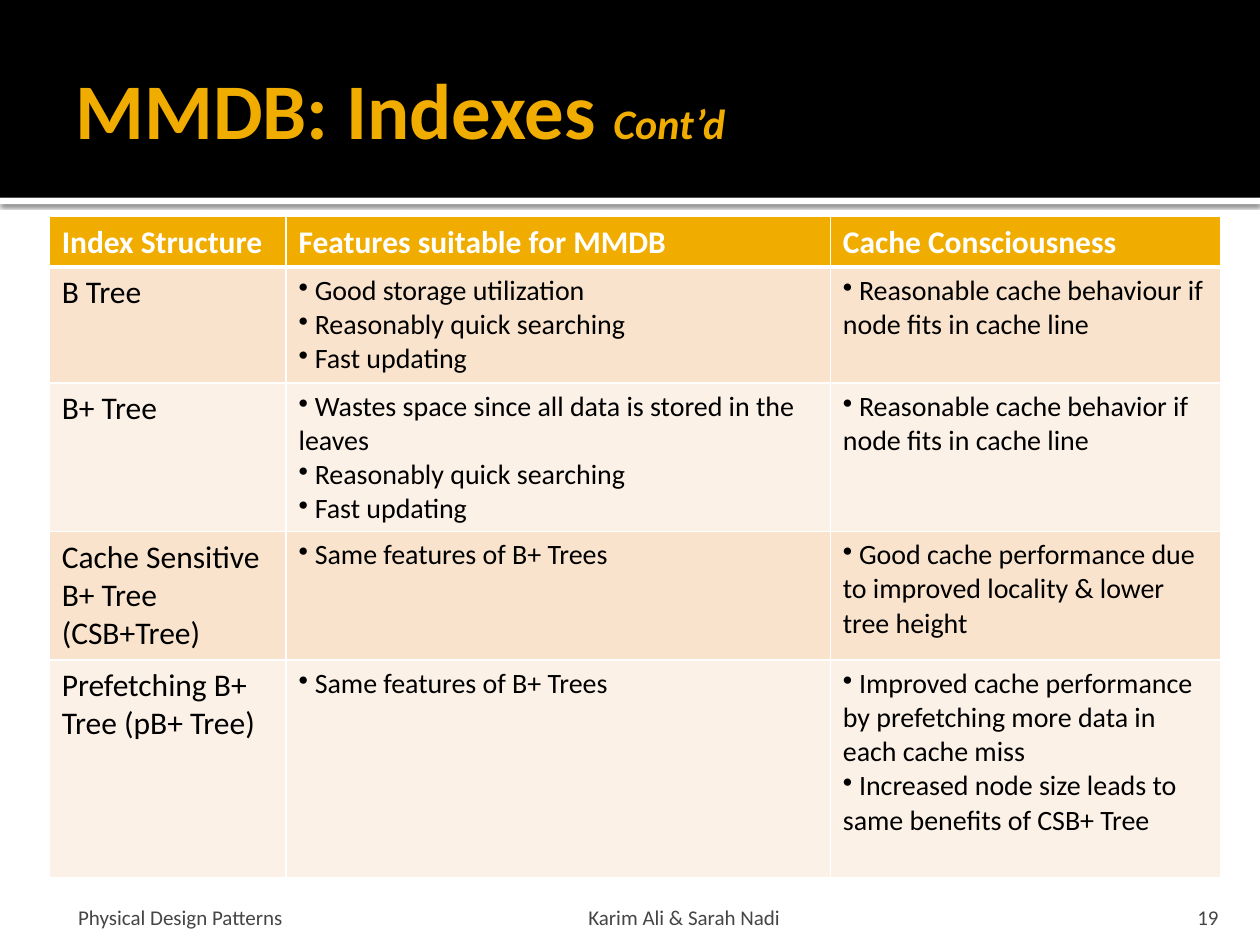
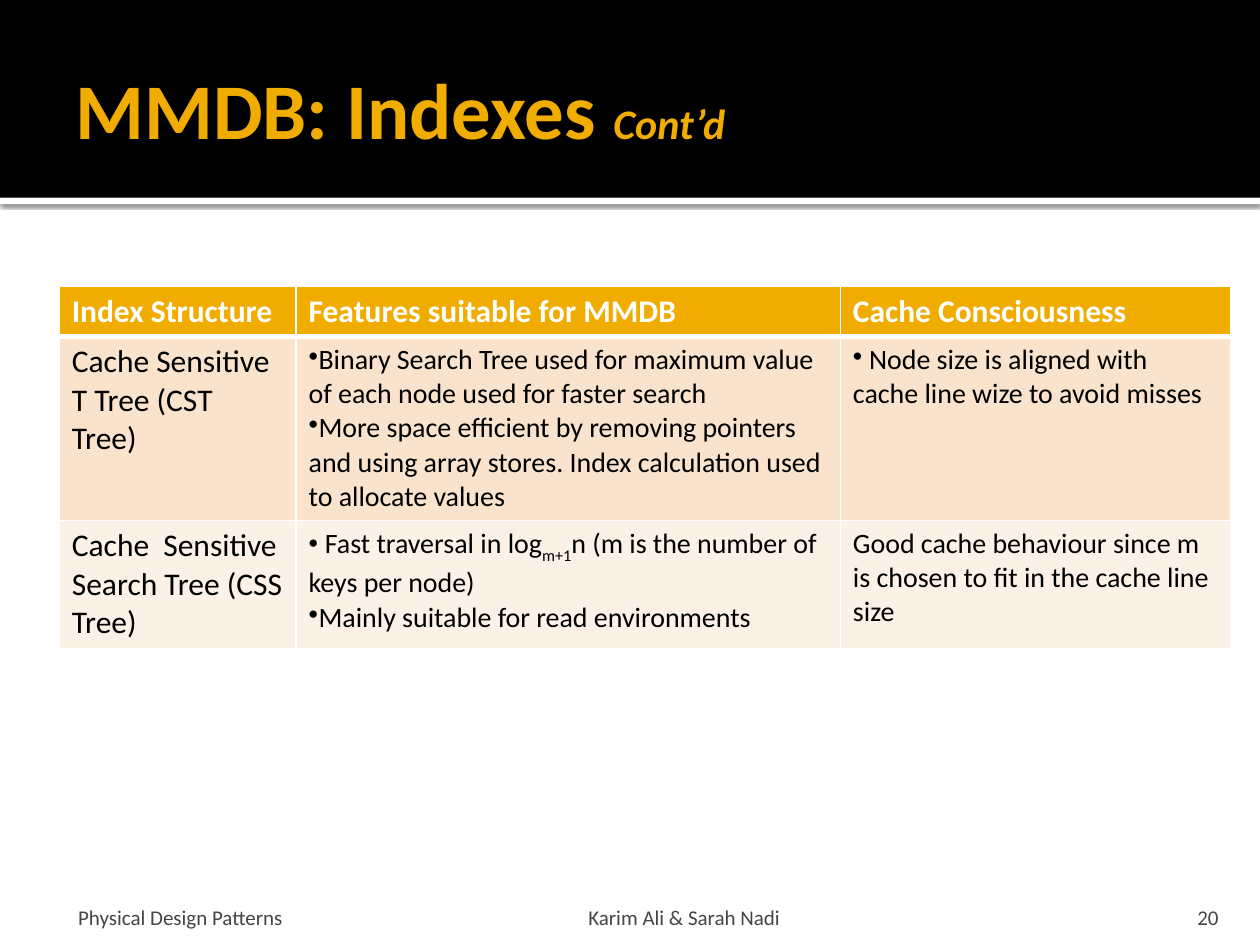
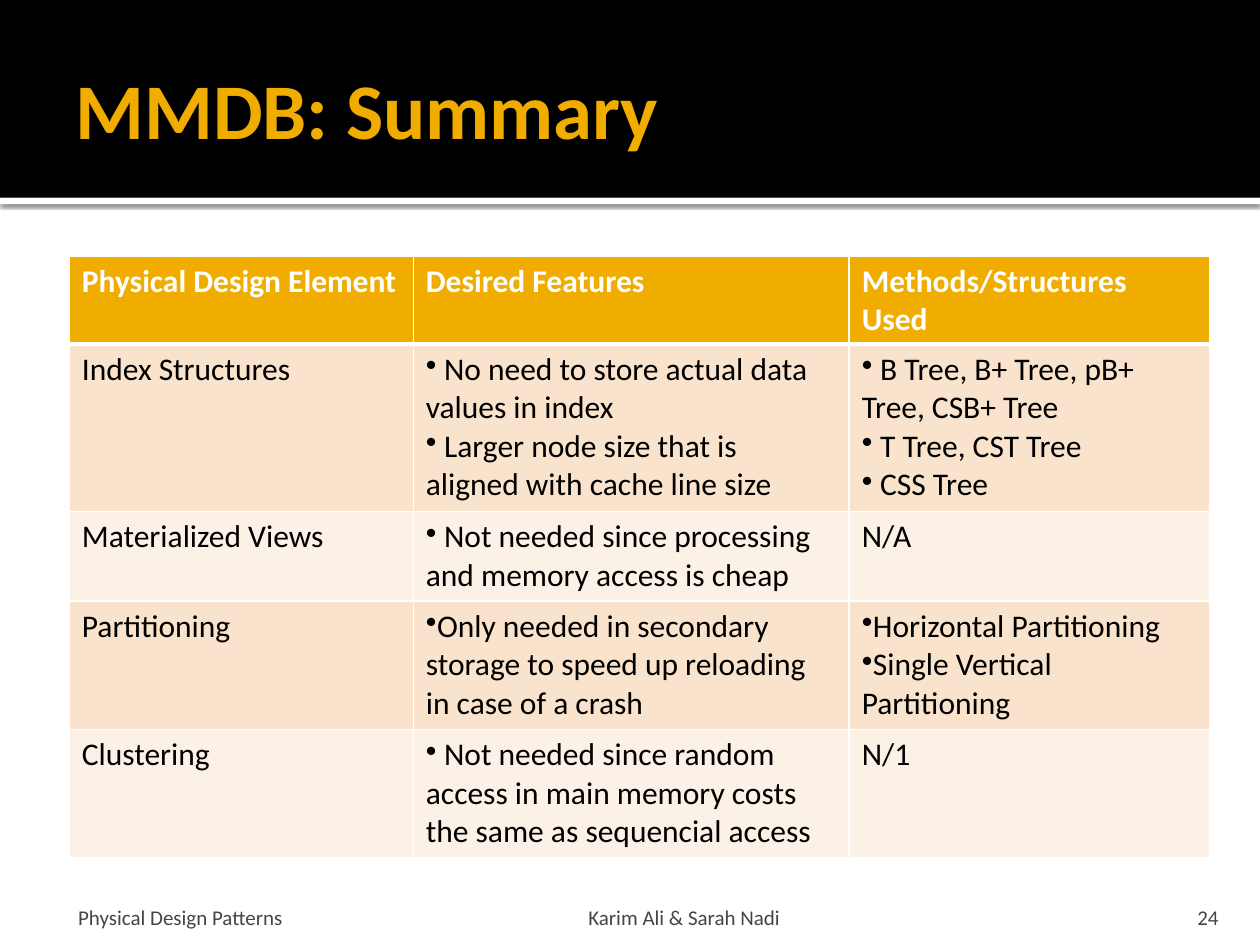
"""Build three slides that compare index structures for main memory databases."""
from dataclasses import dataclass

from lxml.etree import SubElement
from pptx import Presentation
from pptx.dml.color import RGBColor
from pptx.enum.shapes import MSO_SHAPE
from pptx.enum.text import MSO_ANCHOR, PP_ALIGN
from pptx.oxml.ns import qn
from pptx.shapes.autoshape import Shape
from pptx.slide import Slide
from pptx.table import _Cell
from pptx.text.text import _Paragraph, _Run
from pptx.util import Inches, Pt

FONT = "Calibri"
COLORS = {
    "white": "FFFFFF",
    "black": "000000",
    "gold": "F0AD00",
    "footer": "454545",
    "odd_row": "F9E3CC",
    "even_row": "FCF1E7",
}
BULLET = "•"
SUBSCRIPT_MARK = "|"


@dataclass(frozen=True)
class TextBox:
    left: float
    top: float
    width: float
    height: float
    margin_left: float
    margin_right: float
    margin_bottom: float
    anchor: MSO_ANCHOR
    alignment: PP_ALIGN


@dataclass(frozen=True)
class TableSlide:
    title: str
    suffix: str
    number: int
    left: float
    top: float
    column_widths: tuple[float, ...]
    row_heights: tuple[float, ...]
    body_size: int
    rows: tuple[tuple[str, ...], ...]


TITLE_BOX = TextBox(0.5, 0.17, 9, 1.37, 0.1, 0.05, 0.05, MSO_ANCHOR.MIDDLE, PP_ALIGN.LEFT)
TOPIC_BOX = TextBox(0.5, 7.08, 2.33, 0.3, 0.12, 0.05, 0, MSO_ANCHOR.BOTTOM, PP_ALIGN.LEFT)
AUTHORS_BOX = TextBox(2.42, 7.08, 6.02, 0.3, 0.05, 0.05, 0, MSO_ANCHOR.BOTTOM, PP_ALIGN.CENTER)
NUMBER_BOX = TextBox(8.97, 7.08, 0.8, 0.3, 0.1, 0.1, 0, MSO_ANCHOR.BOTTOM, PP_ALIGN.RIGHT)

INDEX_HEADER = ("Index Structure", "Features suitable for MMDB", "Cache Consciousness")
INDEX_WIDTHS = (1.88, 4.32, 3.1)

SLIDES = (
    TableSlide(
        "MMDB: Indexes ", "Cont’d", 19, 0.39, 1.72, INDEX_WIDTHS,
        (0.4, 0.92, 1.18, 1.02, 1.73), 16,
        (
            INDEX_HEADER,
            ("B Tree",
             "• Good storage utilization\n• Reasonably quick searching\n• Fast updating",
             "• Reasonable cache behaviour if node fits in cache line"),
            ("B+ Tree",
             "• Wastes space since all data is stored in the leaves\n"
             "• Reasonably quick searching\n• Fast updating",
             "• Reasonable cache behavior if node fits in cache line"),
            ("Cache Sensitive B+ Tree (CSB+Tree)",
             "• Same features of B+ Trees",
             "• Good cache performance due to improved locality & lower tree height"),
            ("Prefetching B+ Tree (pB+ Tree)",
             "• Same features of B+ Trees",
             "• Improved cache performance by prefetching more data in each cache miss\n"
             "• Increased node size leads to same benefits of CSB+ Tree"),
        ),
    ),
    TableSlide(
        "MMDB: Indexes ", "Cont’d", 20, 0.47, 2.27, INDEX_WIDTHS,
        (0.4, 1.46, 1.02), 16,
        (
            INDEX_HEADER,
            ("Cache Sensitive T Tree (CST Tree)",
             "•Binary Search Tree used for maximum value of each node used for faster search\n"
             "•More space efficient by removing pointers and using array stores. "
             "Index calculation used to allocate values",
             "• Node size is aligned with cache line wize to avoid misses"),
            ("Cache  Sensitive Search Tree (CSS Tree)",
             "• Fast traversal in log|m+1|n (m is the number of keys per node)\n"
             "•Mainly suitable for read environments",
             "Good cache behaviour since m is chosen to fit in the cache line size"),
        ),
    ),
    TableSlide(
        "MMDB: Summary", "", 24, 0.55, 2.03, (2.73, 3.46, 2.86),
        (0.7, 1.33, 0.71, 1.02, 1.02), 18,
        (
            ("Physical Design Element", "Desired Features", "Methods/Structures Used"),
            ("Index Structures",
             "• No need to store actual data values in index\n"
             "• Larger node size that is aligned with cache line size",
             "• B Tree, B+ Tree, pB+ Tree, CSB+ Tree\n• T Tree, CST Tree\n• CSS Tree"),
            ("Materialized Views",
             "• Not needed since processing and memory access is cheap",
             "N/A"),
            ("Partitioning",
             "•Only needed in secondary storage to speed up reloading in case of a crash",
             "•Horizontal Partitioning\n•Single Vertical Partitioning"),
            ("Clustering",
             "• Not needed since random access in main memory costs "
             "the same as sequencial access",
             "N/1"),
        ),
    ),
)


def format_run(run: _Run, size: int, color: str, bold: bool = False, italic: bool = False) -> None:
    """Apply the shared font with a size, colour and weight."""
    run.font.name = FONT
    run.font.size = Pt(size)
    run.font.bold = bold
    run.font.italic = italic
    run.font.color.rgb = RGBColor.from_string(COLORS[color])


def add_rectangle(slide: Slide, top: float, height: float, color: str) -> Shape:
    """Draw a plain rectangle across the whole slide."""
    shape = slide.shapes.add_shape(
        MSO_SHAPE.RECTANGLE, 0, Inches(top), Inches(10), Inches(height))
    shape.shadow.inherit = False
    shape.fill.solid()
    shape.fill.fore_color.rgb = RGBColor.from_string(COLORS[color])
    shape.line.fill.background()
    return shape


def add_drop_shadow(shape: Shape) -> None:
    """Give a shape a soft shadow that falls straight down."""
    effects = shape._element.spPr.find(qn("a:effectLst"))
    shadow = SubElement(effects, qn("a:outerShdw"), blurRad=str(Pt(2.5)), dist=str(Pt(0.8)),
                        dir="5400000", algn="tl", rotWithShape="0")
    color = SubElement(shadow, qn("a:srgbClr"), val=COLORS["black"])
    SubElement(color, qn("a:alpha"), val="60000")


def add_text(slide: Slide, box: TextBox, text: str, size: int, color: str,
             bold: bool = False) -> _Paragraph:
    """Place one line of text and return its paragraph."""
    shape = slide.shapes.add_textbox(
        Inches(box.left), Inches(box.top), Inches(box.width), Inches(box.height))
    text_frame = shape.text_frame
    text_frame.word_wrap = True
    text_frame.vertical_anchor = box.anchor
    text_frame.margin_left = Inches(box.margin_left)
    text_frame.margin_right = Inches(box.margin_right)
    text_frame.margin_bottom = Inches(box.margin_bottom)
    text_frame.text = text
    paragraph = text_frame.paragraphs[0]
    paragraph.alignment = box.alignment
    format_run(paragraph.runs[0], size, color, bold)
    return paragraph


def add_frame(slide: Slide, content: TableSlide) -> None:
    """Draw the title band, the title and the footer."""
    add_drop_shadow(add_rectangle(slide, 1.57, 0.05, "white"))
    add_rectangle(slide, 0, 1.57, "black")
    title = add_text(slide, TITLE_BOX, content.title, 45, "gold", bold=True)
    if content.suffix:
        suffix = title.add_run()
        suffix.text = content.suffix
        format_run(suffix, 24, "gold", bold=True, italic=True)
    add_text(slide, TOPIC_BOX, "Physical Design Patterns", 12, "footer")
    add_text(slide, AUTHORS_BOX, "Karim Ali & Sarah Nadi", 12, "footer")
    add_text(slide, NUMBER_BOX, str(content.number), 12, "footer")


def set_borders(cell: _Cell, top: int, bottom: int) -> None:
    """Draw white borders around a cell, with widths in points."""
    properties = cell._tc.get_or_add_tcPr()
    for side, width in (("L", 1), ("R", 1), ("T", top), ("B", bottom)):
        line = SubElement(properties, qn(f"a:ln{side}"), w=str(Pt(width)))
        fill = SubElement(line, qn("a:solidFill"))
        SubElement(fill, qn("a:srgbClr"), val=COLORS["white"])


def fill_paragraph(paragraph: _Paragraph, text: str, size: int, color: str, bold: bool) -> None:
    """Write a paragraph with its bullet and subscripts."""
    if text.startswith(BULLET):
        SubElement(paragraph._p.get_or_add_pPr(), qn("a:buChar"), char=BULLET)
    for position, part in enumerate(text.removeprefix(BULLET).split(SUBSCRIPT_MARK)):
        run = paragraph.add_run()
        run.text = part
        format_run(run, size, color, bold)
        if position % 2:
            run.font._element.set("baseline", "-30000")


def fill_cell(cell: _Cell, text: str, row: int, size: int) -> None:
    """Style a cell by its row and write its paragraphs."""
    is_header = row == 0
    set_borders(cell, top=3 if row == 1 else 1, bottom=3 if is_header else 1)
    cell.fill.solid()
    background = "gold" if is_header else "odd_row" if row % 2 else "even_row"
    cell.fill.fore_color.rgb = RGBColor.from_string(COLORS[background])
    for position, line in enumerate(text.split("\n")):
        text_frame = cell.text_frame
        paragraph = text_frame.add_paragraph() if position else text_frame.paragraphs[0]
        fill_paragraph(paragraph, line, size, "white" if is_header else "black", is_header)


def add_comparison_table(slide: Slide, content: TableSlide) -> None:
    """Draw the comparison table of a slide."""
    table = slide.shapes.add_table(
        len(content.rows), len(content.column_widths),
        Inches(content.left), Inches(content.top),
        Inches(sum(content.column_widths)), Inches(sum(content.row_heights))).table
    table.horz_banding = False
    for column, width in zip(table.columns, content.column_widths):
        column.width = Inches(width)
    for row, height in zip(table.rows, content.row_heights):
        row.height = Inches(height)
    for row_index, texts in enumerate(content.rows):
        for column_index, text in enumerate(texts):
            is_label = row_index == 0 or column_index == 0
            size = 18 if is_label else content.body_size
            fill_cell(table.cell(row_index, column_index), text, row_index, size)


def main() -> None:
    """Build and save the presentation."""
    presentation = Presentation()
    presentation.slide_width = Inches(10)
    presentation.slide_height = Inches(7.5)
    for content in SLIDES:
        slide = presentation.slides.add_slide(presentation.slide_layouts[6])
        add_frame(slide, content)
        add_comparison_table(slide, content)
    presentation.save("out.pptx")


if __name__ == "__main__":
    main()
